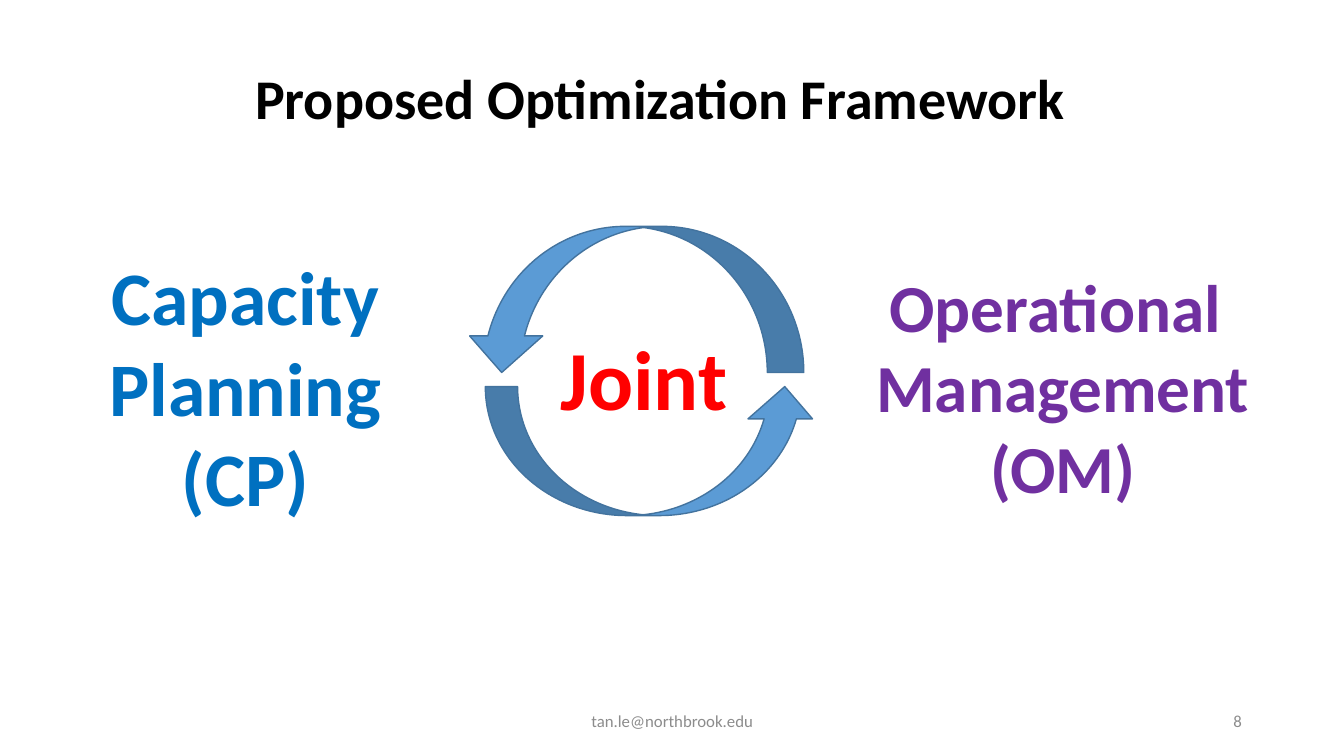
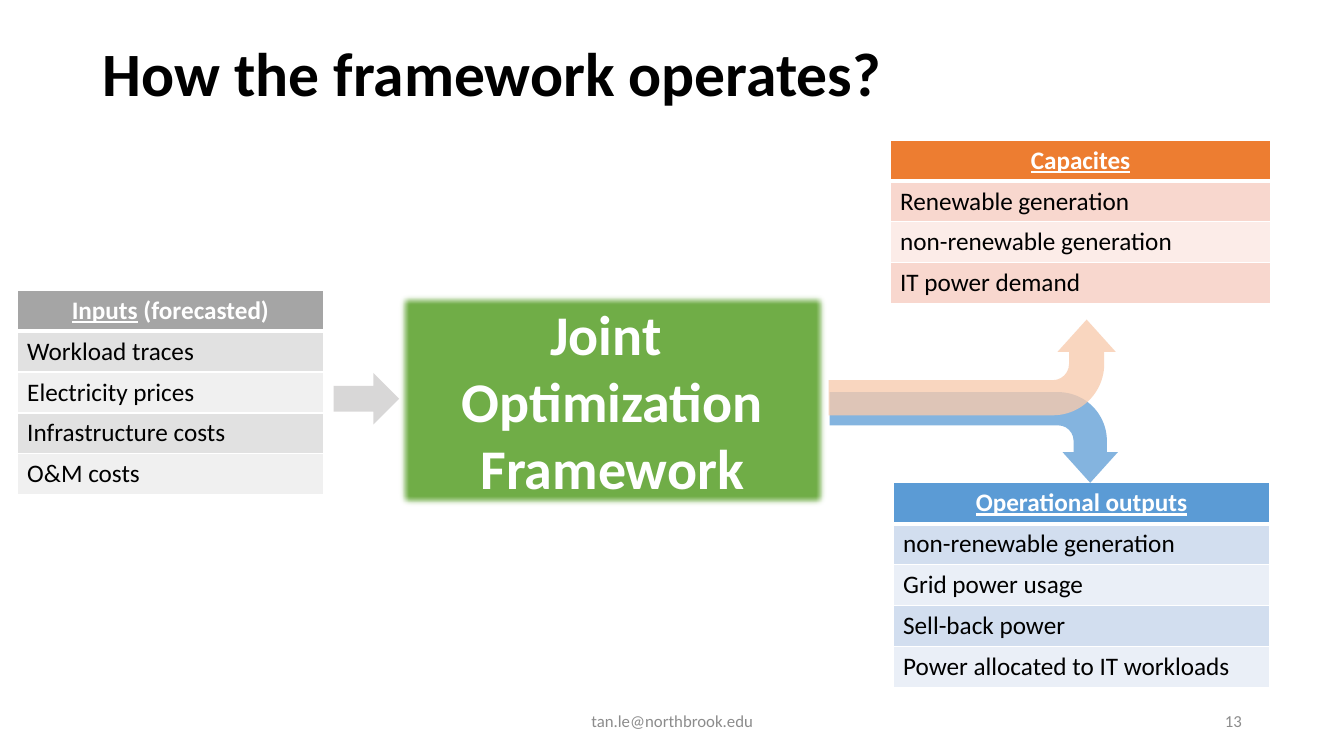
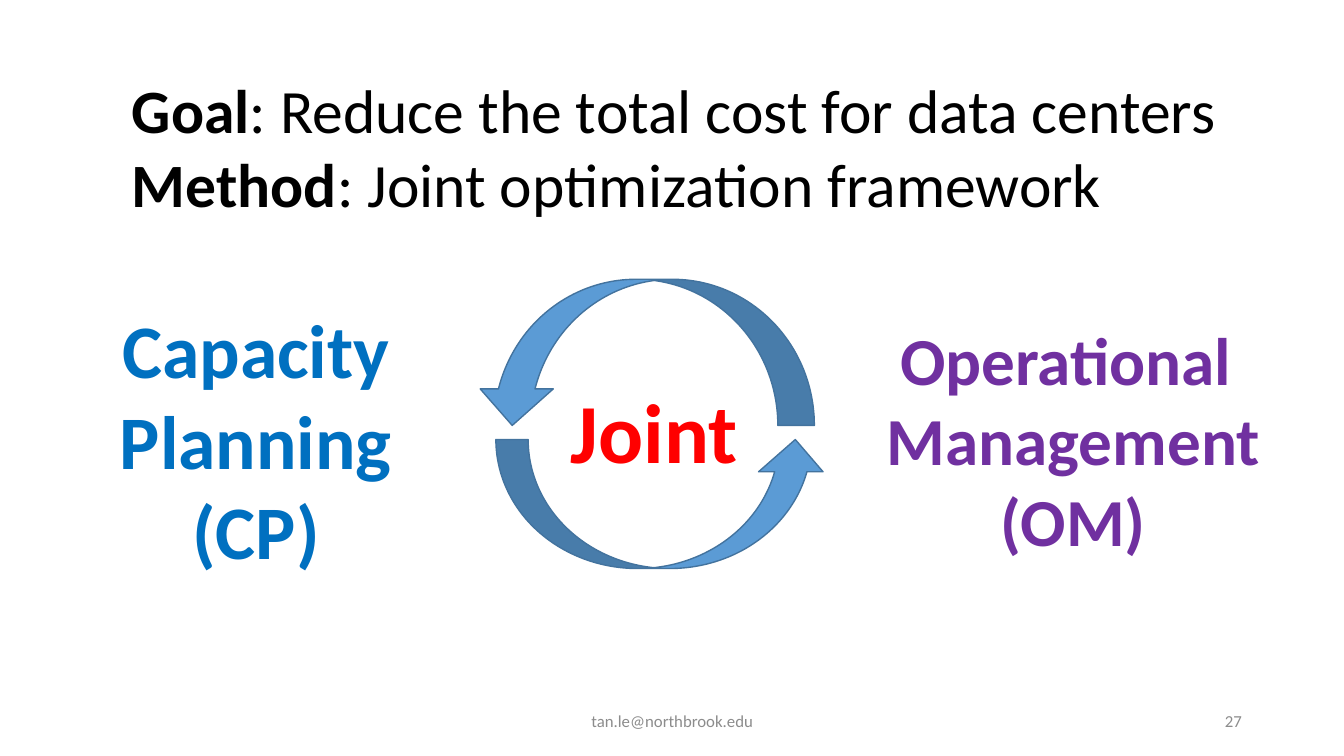
from lxml import etree
from pptx import Presentation
from pptx.dml.color import RGBColor
from pptx.enum.shapes import MSO_SHAPE
from pptx.enum.text import MSO_ANCHOR, MSO_AUTO_SIZE, PP_ALIGN
from pptx.oxml.ns import qn
from pptx.util import Inches, Pt

LEFT, CENTER, RIGHT = PP_ALIGN.LEFT, PP_ALIGN.CENTER, PP_ALIGN.RIGHT
TOP, MIDDLE = MSO_ANCHOR.TOP, MSO_ANCHOR.MIDDLE
CURVED_ARROW = MSO_SHAPE.CURVED_RIGHT_ARROW
BENT_ARROW = MSO_SHAPE.BENT_ARROW
DOWN_ARROW = MSO_SHAPE.DOWN_ARROW
RECTANGLE = MSO_SHAPE.RECTANGLE
NO_AUTOFIT = MSO_AUTO_SIZE.NONE
TITLE_ONLY, BLANK = 5, 6

COLORS = {
    "black": "000000", "white": "FFFFFF", "footer": "8C8C8C",
    "planning": "0070C0", "operations": "7030A0", "joint": "FF0000",
    "blue": "5B9BD5", "blue line": "43739E", "blue band": "D2DEEF", "blue pale": "EAEFF7",
    "orange": "ED7D31", "orange band": "F8D7CE", "orange pale": "FCECE8",
    "gray": "A5A5A5", "gray band": "E1E1E1", "gray pale": "F0F0F0",
    "green": "70AD47", "green line": "538035",
    "input arrow": "D0CECE", "capacity arrow": "F8CBAD",
}
RGB = {name: RGBColor.from_string(value) for name, value in COLORS.items()}

presentation = Presentation()
presentation.slide_width, presentation.slide_height = Inches(13.333), Inches(7.5)
# Boxes are left, top, width, height on a grid of 80 columns and 45 rows.
COLUMN = presentation.slide_width / 80
ROW = presentation.slide_height / 45


def write(target, paragraphs, size, color="black", bold=True, align=LEFT,
          anchor=TOP, box=None, spacing=1.0):
    """Fill a shape or cell; a paragraph is a list of (text, font changes) runs."""
    if box:
        target.left, target.top, target.width, target.height = on_grid(*box)
    frame = target.text_frame
    frame.word_wrap, frame.auto_size, frame.vertical_anchor = True, NO_AUTOFIT, anchor
    for index, runs in enumerate(paragraphs):
        paragraph = frame.add_paragraph() if index else frame.paragraphs[0]
        paragraph.alignment, paragraph.line_spacing = align, spacing
        for text, changes in runs:
            run = paragraph.add_run()
            run.text = text
            run.font.color.rgb = RGB[color]
            values = {"name": "Calibri", "size": Pt(size), "bold": bold, **changes}
            for name, value in values.items():
                setattr(run.font, name, value)


def on_grid(left, top, width, height):
    return [round(left * COLUMN), round(top * ROW), round(width * COLUMN), round(height * ROW)]


slides = {}
for number, layout in ((8, TITLE_ONLY), (13, TITLE_ONLY), (27, BLANK)):
    slides[number] = presentation.slides.add_slide(presentation.slide_layouts[layout])
overview, operation, summary = slides.values()

write(overview.shapes.title, [[("Proposed Optimization Framework", {})]], 40,
      anchor=MIDDLE, box=(14.58, 3.48, 50.52, 4.62))
write(operation.shapes.title, [[("How the framework operates?", {})]], 44,
      anchor=MIDDLE, box=(5.52, 0.18, 59.52, 8.7), spacing=0.9)

# The joint cycle stands on two slides, shifted on the second.
cycle_arrows = (
    ((34.92, 16.98, 7.68, 19.74), ()),
    ((33.42, 7.74, 8.7, 20.16), ("flipH", "flipV")),
)
cycle_labels = (
    ((32.76, 19.14, 11.94, 6.66), ["Joint"], 60, "joint", LEFT),
    ((5.22, 14.58, 18.78, 16.98), ["Capacity Planning", "(CP)"], 54, "planning", CENTER),
    ((51, 15.48, 24.54, 15.12), ["Operational ", "Management", "(OM)"], 48, "operations", CENTER),
)
for slide, right, down in ((overview, 0, 0), (summary, 0.63, 3.15)):
    for (left, top, width, height), flips in cycle_arrows:
        arrow = slide.shapes.add_shape(
            CURVED_ARROW, *on_grid(left + right, top + down, width, height))
        arrow.rotation = 270
        arrow.shadow.inherit = False
        arrow.fill.solid()
        arrow.fill.fore_color.rgb = RGB["blue"]
        arrow.line.color.rgb = RGB["blue line"]
        arrow.line.width = Pt(1)
        for flip in flips:
            arrow._element.spPr.xfrm.set(flip, "1")
    for (left, top, width, height), lines, size, color, align in cycle_labels:
        label = slide.shapes.add_textbox(
            *on_grid(left + right, top + down, width, height))
        write(label, [[(line, {})] for line in lines], size, color, align=align)

# Inputs and outputs of the framework
tables = (
    ((1.02, 17.28, 18.24), "gray", [("Inputs", {"underline": True}), (" (forecasted)", {})],
     ["Workload traces", "Electricity prices", "Infrastructure costs", "O&M costs"]),
    ((52.98, 8.34, 22.68), "orange", [("Capacites", {"underline": True})],
     ["Renewable generation", "non-renewable generation", "IT power demand"]),
    ((53.16, 28.74, 22.44), "blue", [("Operational outputs", {"underline": True})],
     ["non-renewable generation", "Grid power usage", "Sell-back power",
      "Power allocated to IT workloads"]),
)
ROW_SPAN = 2.42
for (left, top, width), hue, heading, entries in tables:
    rows = [heading] + [[(entry, {})] for entry in entries]
    table = operation.shapes.add_table(
        len(rows), 1, *on_grid(left, top, width, ROW_SPAN * len(rows))).table
    for index, runs in enumerate(rows):
        cell = table.cell(index, 0)
        properties = cell._tc.get_or_add_tcPr()
        for side in "LRTB":
            heavy = (index, side) in ((0, "B"), (1, "T"))
            border = etree.SubElement(properties, qn(f"a:ln{side}"), w=str(Pt(3 if heavy else 1)))
            fill = etree.SubElement(border, qn("a:solidFill"))
            etree.SubElement(fill, qn("a:srgbClr"), val=COLORS["white"])
        cell.fill.solid()
        shade = hue if index == 0 else hue + (" band" if index % 2 else " pale")
        cell.fill.fore_color.rgb = RGB[shade]
        header = index == 0
        write(cell, [runs], 18, "white" if header else "black", header,
              CENTER if header else LEFT)

framework = operation.shapes.add_shape(RECTANGLE, *on_grid(23.64, 17.4, 25.62, 12.84))
framework.shadow.inherit = False
framework.fill.solid()
framework.fill.fore_color.rgb = RGB["green"]
framework.line.color.rgb = RGB["green line"]
framework.line.width = Pt(1)
effects = framework._element.spPr.find(qn("a:effectLst"))
etree.SubElement(effects, qn("a:softEdge"), rad=str(Pt(5)))
write(framework, [[(line, {})] for line in ("Joint ", "Optimization", "Framework")],
      40, "white", align=CENTER, anchor=MIDDLE)

BEND = (0.367, 0.305, 0.338, 0.537)
flow_arrows = (
    (DOWN_ARROW, (20.28, 21.78, 3.06, 3.9), 270, (), "input arrow", 81, False),
    (BENT_ARROW, (55.26, 17.46, 5.4, 17.16), 90, BEND, "blue", 75, False),
    (BENT_ARROW, (55.02, 13.32, 5.7, 17.1), 90, BEND, "capacity arrow", 78, True),
)
for preset, box, rotation, adjustments, color, opacity, flipped in flow_arrows:
    arrow = operation.shapes.add_shape(preset, *on_grid(*box))
    arrow.rotation = rotation
    arrow.shadow.inherit = False
    for index, value in enumerate(adjustments):
        arrow.adjustments[index] = value
    arrow.fill.solid()
    arrow.fill.fore_color.rgb = RGB[color]
    arrow.line.fill.background()
    tint = arrow._element.spPr.find(".//" + qn("a:srgbClr"))
    etree.SubElement(tint, qn("a:alpha"), val=str(opacity * 1000))
    if flipped:
        arrow._element.spPr.xfrm.set("flipH", "1")

statements = (
    ((7.26, 3.96, 69, 5.58), "Goal", ": Reduce the total cost for data centers"),
    ((7.26, 8.4, 64.5, 5.58), "Method", ": Joint optimization framework"),
)
for box, term, text in statements:
    statement = summary.shapes.add_textbox(*on_grid(*box))
    write(statement, [[(term, {}), (text, {"bold": False})]], 44, anchor=MIDDLE, spacing=0.9)

for number, slide in slides.items():
    for box, text, align in (
        ((26.52, 41.7, 27, 2.4), "tan.le@northbrook.edu", CENTER),
        ((56.52, 41.7, 18, 2.4), str(number), RIGHT),
    ):
        footer = slide.shapes.add_textbox(*on_grid(*box))
        write(footer, [[(text, {})]], 12, "footer", False, align, MIDDLE)

presentation.save("out.pptx")
